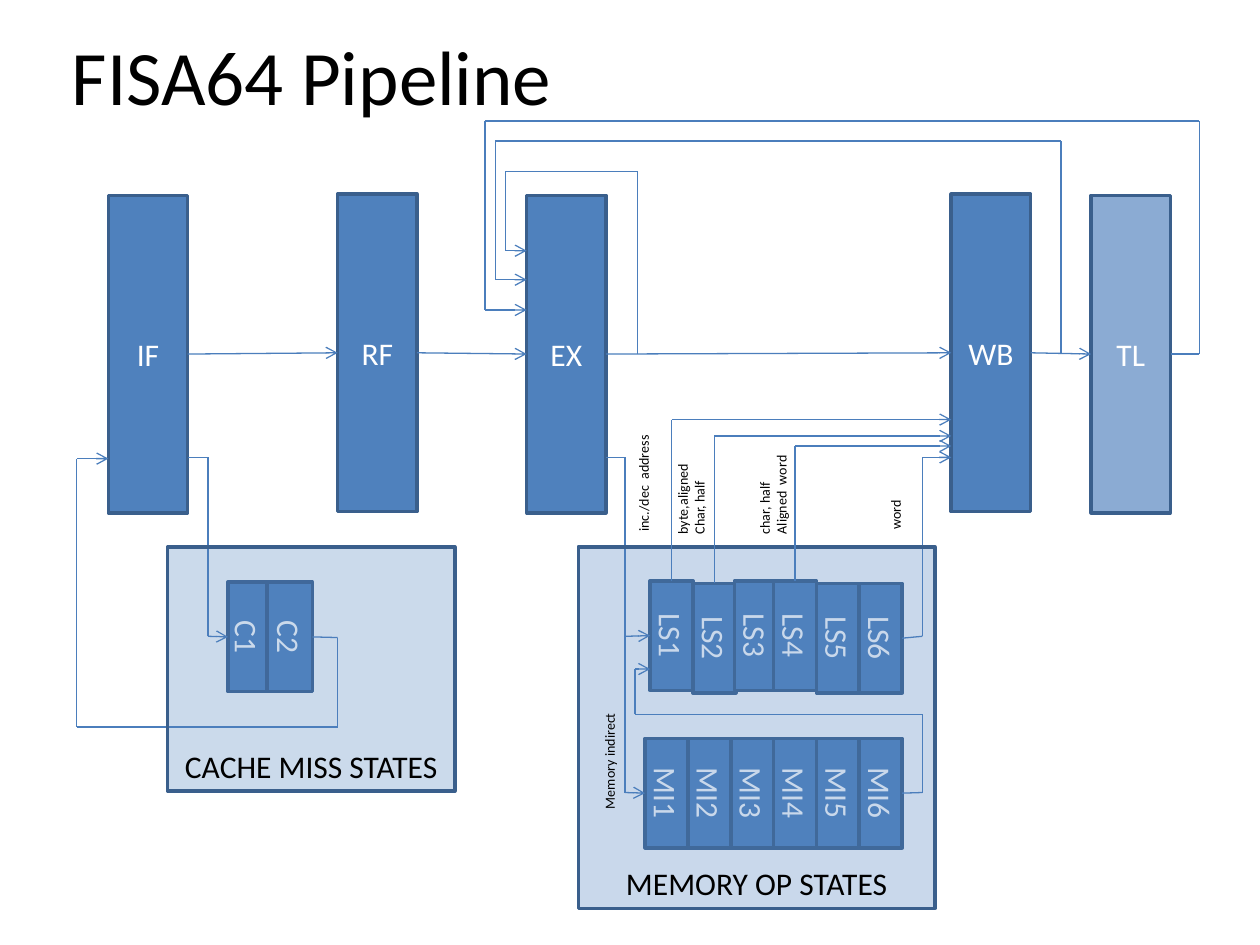
from pptx import Presentation
from pptx.dml.color import RGBColor
from pptx.enum.shapes import MSO_CONNECTOR, MSO_SHAPE
from pptx.enum.text import MSO_ANCHOR, MSO_AUTO_SIZE, PP_ALIGN
from pptx.oxml.ns import qn
from pptx.oxml.xmlchemy import OxmlElement
from pptx.util import Inches, Pt

RECT = MSO_SHAPE.RECTANGLE
LINE = MSO_CONNECTOR.STRAIGHT
MIDDLE, BOTTOM = MSO_ANCHOR.MIDDLE, MSO_ANCHOR.BOTTOM
LEFT, CENTER = PP_ALIGN.LEFT, PP_ALIGN.CENTER
FIT = MSO_AUTO_SIZE.SHAPE_TO_FIT_TEXT

BLUE = RGBColor(0x4F, 0x81, 0xBD)
EDGE = RGBColor(0x3A, 0x5F, 0x8C)
WIRE = RGBColor(0x4B, 0x7E, 0xBC)
WHITE = RGBColor(0xFF, 0xFF, 0xFF)
BLACK = RGBColor(0, 0, 0)
FONT = "Calibri"
TOP, WEST, EAST = 0, 1, 3  # connection sites of a rectangle


class Diagram:
    def __init__(self, slide):
        self.slide = slide
        self.shapes = slide.shapes

    def label(self, frame, lines, size, color, align):
        for i, text in enumerate(lines):
            para = frame.add_paragraph() if i else frame.paragraphs[0]
            para.alignment = align
            run = para.add_run()
            run.text = text
            run.font.size = Pt(size)
            run.font.name = FONT
            run.font.color.rgb = color

    def title(self, text, x, y, w, h):
        head = self.shapes.title
        head.left, head.top = Inches(x), Inches(y)
        head.width, head.height = Inches(w), Inches(h)
        head.text_frame.vertical_anchor = MIDDLE
        self.label(head.text_frame, [text], 44, BLACK, LEFT)

    def box(self, text, x, y, w, h, color=WHITE, anchor=MIDDLE,
            alpha=None, vert=False):
        """Add a labelled box; alpha is its opacity in percent."""
        box = self.shapes.add_shape(RECT, Inches(x), Inches(y),
                                    Inches(w), Inches(h))
        box.shadow.inherit = False
        box.fill.solid()
        box.fill.fore_color.rgb = BLUE
        box.line.color.rgb = EDGE
        box.line.width = Pt(2)
        if alpha:
            tone = OxmlElement("a:alpha")
            tone.set("val", str(alpha * 1000))
            box.element.spPr.find(qn("a:solidFill"))[0].append(tone)
        if vert:
            box.element.txBody.bodyPr.set("vert", "vert")
        box.text_frame.vertical_anchor = anchor
        self.label(box.text_frame, [text], 18, color, CENTER)
        return box

    def note(self, lines, x, y, w, h):
        """Add a small label that reads upwards."""
        box = self.shapes.add_textbox(Inches(x), Inches(y),
                                      Inches(w), Inches(h))
        box.element.txBody.bodyPr.set("vert", "vert270")
        box.text_frame.word_wrap = False
        box.text_frame.auto_size = FIT
        self.label(box.text_frame, lines, 8, BLACK, LEFT)

    def wire(self, *stops):
        """Join stops by lines, arrow last; a stop is (x, y) or (box, site)."""
        last = len(stops) - 2
        for i, (a, b) in enumerate(zip(stops, stops[1:])):
            self.line(a, b, i == last)

    def line(self, a, b, arrow):
        glued = [hasattr(stop[0], "shape_id") for stop in (a, b)]
        start, end = [(0, 0) if glue else (Inches(stop[0]), Inches(stop[1]))
                      for stop, glue in zip((a, b), glued)]
        line = self.shapes.add_connector(LINE, *start, *end)
        if glued[0]:
            line.begin_connect(*a)
        if glued[1]:
            line.end_connect(*b)
        line.line.color.rgb = WIRE
        line.line.width = Pt(0.75)
        props = line.element.spPr
        if arrow:
            tip = OxmlElement("a:tailEnd")
            tip.set("type", "arrow")
            props.find(qn("a:ln")).append(tip)
        props.append(OxmlElement("a:effectLst"))


def main():
    deck = Presentation()
    deck.slide_width, deck.slide_height = Inches(10), Inches(7.5)
    slide = deck.slides.add_slide(deck.slide_layouts[0])
    sub = slide.placeholders[1].element
    sub.getparent().remove(sub)
    art = Diagram(slide)
    art.title("FISA64 Pipeline", 0.47, 0.06, 8.5, 1.07)

    # Pipeline stages
    stage = {}
    for name, x, y, alpha in [("IF", 0.86, 1.55, None), ("RF", 2.68, 1.54, None),
                              ("EX", 4.18, 1.55, None), ("WB", 7.55, 1.54, None),
                              ("TL", 8.66, 1.55, 66)]:
        stage[name] = art.box(name, x, y, 0.63, 2.52, alpha=alpha)

    # States inside the panels
    mi = [art.box(f"MI{i + 1}", 5.12 + 0.34 * i, 5.86, 0.34, 0.87, vert=True)
          for i in range(6)]
    c1 = art.box("C1", 1.81, 4.62, 0.31, 0.87, vert=True)
    c2 = art.box("C2", 2.12, 4.62, 0.36, 0.87, vert=True)
    spots = [(5.16, 4.61), (5.5, 4.63), (5.83, 4.61),
             (6.14, 4.61), (6.48, 4.63), (6.82, 4.63)]
    ls = [art.box(f"LS{i}", x, y, 0.34, 0.87, vert=True)
          for i, (x, y) in enumerate(spots, 1)]

    # Stage to stage
    names = list(stage)
    for a, b in zip(names, names[1:]):
        art.wire((stage[a], EAST), (stage[b], WEST))

    # Results fed back to EX
    art.wire((5.06, 2.81), (5.06, 1.36), (4.01, 1.36), (4.01, 1.99), (4.18, 1.99))
    art.wire((8.42, 2.81), (8.42, 1.12), (3.93, 1.12), (3.93, 2.22), (4.18, 2.22))
    art.wire((stage["TL"], EAST), (9.52, 2.81), (9.52, 0.96), (3.85, 0.96),
             (3.85, 2.46), (4.18, 2.46))

    # Memory states entered and left
    art.wire((4.81, 3.63), (4.96, 3.63), (4.96, 5.05), (ls[0], WEST))
    art.wire((ls[5], EAST), (7.32, 5.05), (7.32, 3.63), (7.55, 3.63))

    # Cache miss loop
    art.wire((1.49, 3.63), (1.65, 3.63), (1.65, 5.05), (c1, WEST))
    art.wire((c2, EAST), (2.68, 5.06), (2.68, 5.77), (0.61, 5.77),
             (0.61, 3.64), (0.86, 3.64))

    # Translucent panels lie over the states
    art.box("MEMORY OP STATES", 4.59, 4.34, 2.83, 2.87, BLACK, BOTTOM, 30)
    art.box("CACHE MISS STATES", 1.33, 4.34, 2.28, 1.94, BLACK, BOTTOM, 29)

    # Early exits to WB
    for box, x, y in [(ls[3], 6.31, 3.54), (ls[1], 5.67, 3.46), (ls[0], 5.33, 3.33)]:
        art.wire((box, TOP), (x, y), (7.55, y))

    # Memory indirect loop
    art.wire((4.96, 5.05), (4.96, 6.29), (mi[0], WEST))
    art.wire((mi[5], EAST), (7.32, 6.29), (7.32, 5.67), (5.04, 5.67),
             (5.04, 5.31), (5.16, 5.31))

    art.note(["byte,aligned", "Char, half"], 5.3, 3.65, 0.47, 0.69)
    art.note(["inc./dec  address"], 4.99, 3.45, 0.34, 0.87)
    art.note(["char, half", "Aligned  word"], 5.95, 3.61, 0.47, 0.73)
    art.note(["word"], 6.99, 3.96, 0.34, 0.34)
    art.note(["Memory indirect"], 4.72, 5.65, 0.34, 0.87)
    deck.save("out.pptx")


if __name__ == "__main__":
    main()
